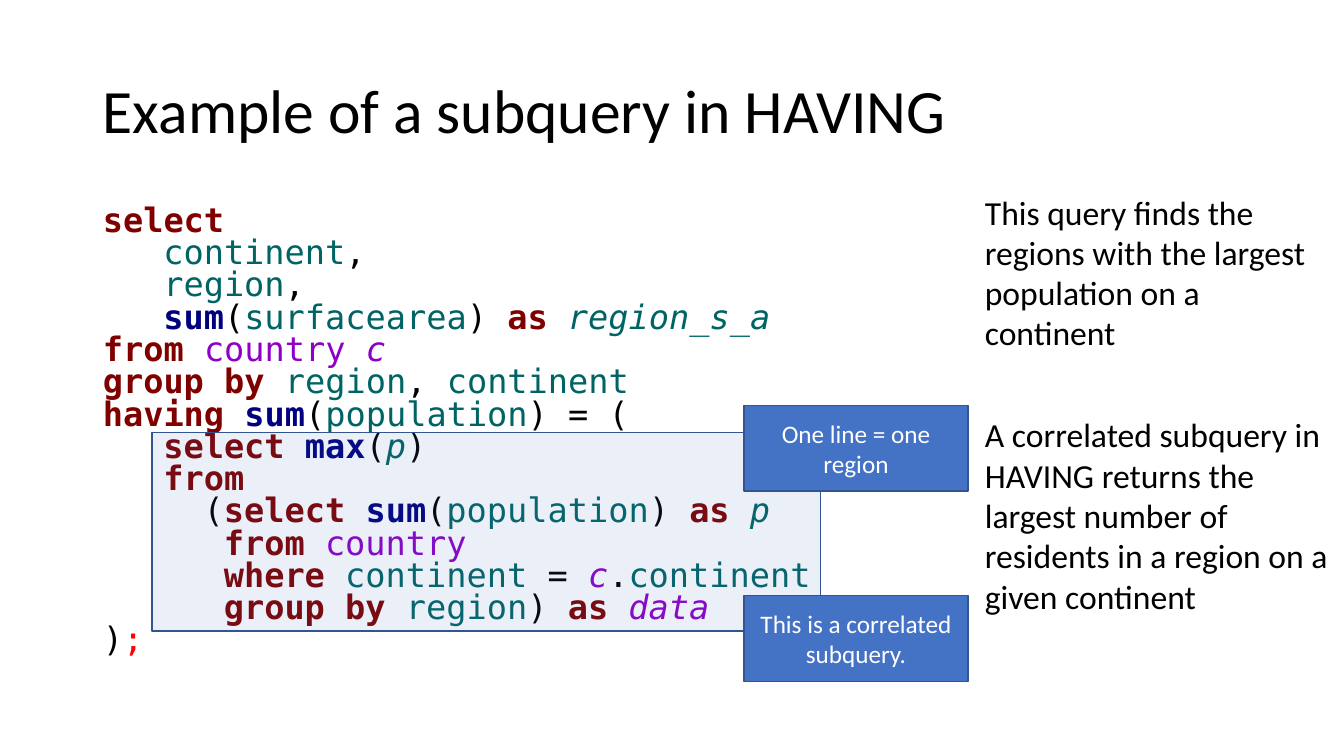
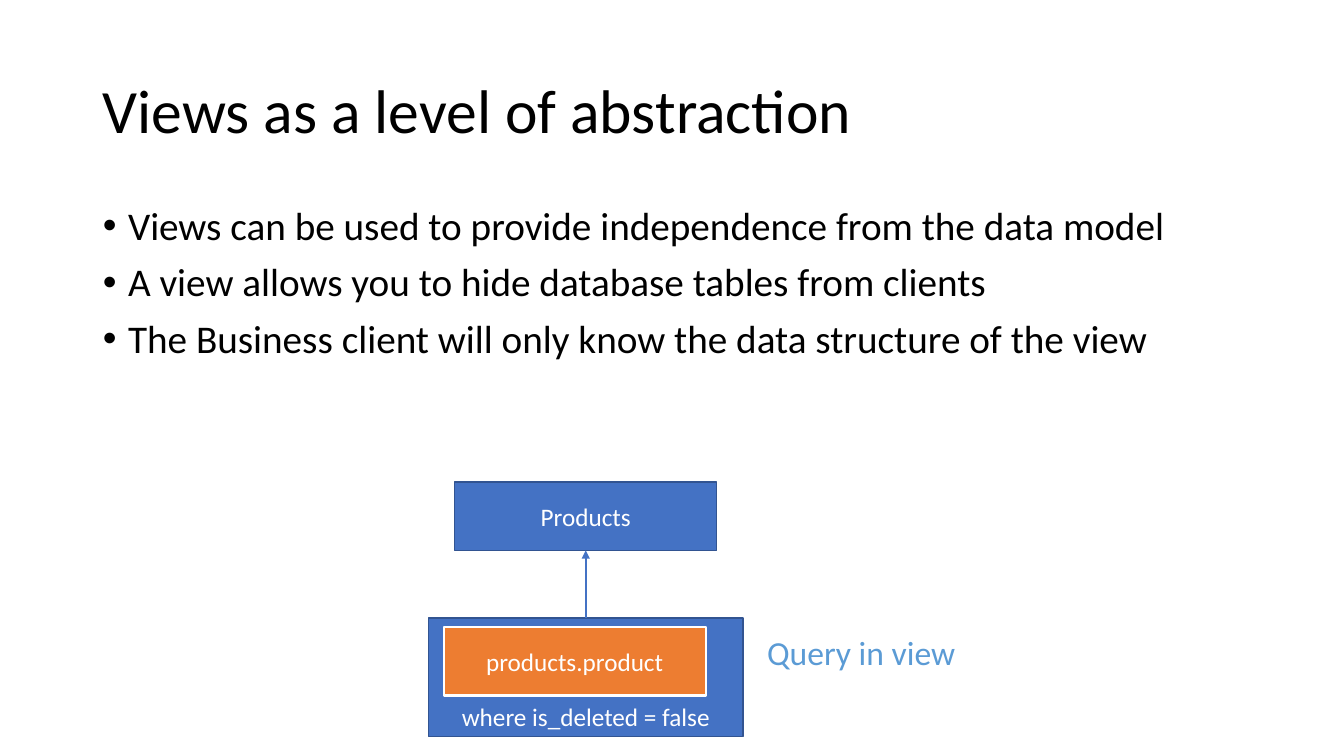
import pptx
import pptx.util
import pptx.dml.color
import pptx.enum.shapes
import pptx.enum.text
import pptx.oxml
import pptx.oxml.ns

Inches, Pt = pptx.util.Inches, pptx.util.Pt
ALIGN = pptx.enum.text.PP_ALIGN
ANCHOR = pptx.enum.text.MSO_ANCHOR
FIT = pptx.enum.text.MSO_AUTO_SIZE

# Shared look
FONT, CODE_FONT = "Calibri", "DejaVu Sans Mono"
BLACK, WHITE = "000000", "FFFFFF"
BLUE, DARK_BLUE, ORANGE, LIGHT_BLUE = "4472C4", "325491", "ED7D31", "5B9BD5"
TITLE_BOX = (0.92, 0.4, 11.5, 1.45)
CODE_CHAR = 0.2  # width of one code character

# Code roles: colour, bold, italic
ROLES = {
    "keyword": ("800000", True, False),
    "function": ("000080", True, False),
    "column": ("006464", False, False),
    "column alias": ("006464", False, True),
    "table": ("8E00C6", False, False),
    "table alias": ("8E00C6", False, True),
    "plain": (BLACK, False, False),
    "end": ("FF0000", False, False),
}

# Each line: indent in characters, then (text, role) pairs
QUERY = [
    (0, ("select", "keyword")),
    (3, ("continent", "column"), (",", "plain")),
    (3, ("region", "column"), (",", "plain")),
    (3, ("sum", "function"), ("(", "plain"), ("surfacearea", "column"),
     (") ", "plain"), ("as ", "keyword"), ("region_s_a", "column alias")),
    (0, ("from ", "keyword"), ("country ", "table"), ("c", "table alias")),
    (0, ("group by ", "keyword"), ("region", "column"), (", ", "plain"),
     ("continent", "column")),
    (0, ("having ", "keyword"), ("sum", "function"), ("(", "plain"),
     ("population", "column"), (") = (", "plain")),
    (3, ("select ", "keyword"), ("max", "function"), ("(", "plain"),
     ("p", "column alias"), (")", "plain")),
    (3, ("from", "keyword")),
    (5, ("(", "plain"), ("select ", "keyword"), ("sum", "function"),
     ("(", "plain"), ("population", "column"), (") ", "plain"),
     ("as ", "keyword"), ("p", "column alias")),
    (6, ("from ", "keyword"), ("country", "table")),
    (6, ("where ", "keyword"), ("continent", "column"), (" = ", "plain"),
     ("c", "table alias"), (".", "plain"), ("continent", "column")),
    (6, ("group by ", "keyword"), ("region", "column"), (") ", "plain"),
     ("as ", "keyword"), ("data", "table alias")),
    (0, (")", "plain"), (";", "end")),
]


def paint(color_format, hex_color):
    color_format.rgb = pptx.dml.color.RGBColor.from_string(hex_color)


def add_run(paragraph, text, size, color=BLACK, font=FONT, bold=False, italic=False):
    run = paragraph.add_run()
    run.text = text
    run.font.name, run.font.size = font, Pt(size)
    run.font.bold, run.font.italic = bold, italic
    paint(run.font.color, color)


def paragraphs(frame, count):
    """The first paragraph of a frame, followed by new ones."""
    return [frame.paragraphs[0]] + [frame.add_paragraph() for _ in range(count - 1)]


def add_xml(parent, tag, **attributes):
    child = pptx.oxml.parse_xml(f"<a:{tag} {pptx.oxml.ns.nsdecls('a')}/>")
    for name, value in attributes.items():
        child.set(name, value)
    parent.append(child)


def set_indent(paragraph, left, first, bullet=None):
    properties = paragraph._p.get_or_add_pPr()
    properties.set("marL", str(Inches(left)))
    properties.set("indent", str(Inches(first)))
    if bullet:
        add_xml(properties, "buChar", char=bullet)
    else:
        add_xml(properties, "buNone")


def place(shape, box):
    shape.left, shape.top, shape.width, shape.height = map(Inches, box)


def add_titled_slide(deck, title, body_box):
    """Slide with a formatted title; returns it with its body text frame."""
    slide = deck.slides.add_slide(deck.slide_layouts[1])
    heading, body = slide.shapes.title, slide.placeholders[1]
    place(heading, TITLE_BOX)
    place(body, body_box)
    frame = heading.text_frame
    frame.vertical_anchor = ANCHOR.MIDDLE
    line = frame.paragraphs[0]
    line.alignment, line.line_spacing = ALIGN.LEFT, 0.9
    add_run(line, title, 44)
    for text_frame in (frame, body.text_frame):
        text_frame.auto_size = FIT.NONE
    return slide, body.text_frame


def add_box(slide, box, text="", fill=BLUE, line=DARK_BLUE, line_width=1,
            anchor=ANCHOR.MIDDLE, opacity=None):
    shape = slide.shapes.add_shape(
        pptx.enum.shapes.MSO_SHAPE.RECTANGLE, *map(Inches, box))
    shape.shadow.inherit = False
    shape.fill.solid()
    paint(shape.fill.fore_color, fill)
    if opacity is not None:
        color = shape._element.spPr.find(".//" + pptx.oxml.ns.qn("a:srgbClr"))
        add_xml(color, "alpha", val=str(opacity * 1000))
    paint(shape.line.color, line)
    shape.line.width = Pt(line_width)
    if text:
        shape.text_frame.word_wrap = True
        shape.text_frame.vertical_anchor = anchor
        label = shape.text_frame.paragraphs[0]
        label.alignment = ALIGN.CENTER
        add_run(label, text, 18, WHITE)
    return shape


def add_text(slide, box, texts, color=BLACK, gap=0, wrap=True):
    frame = slide.shapes.add_textbox(*map(Inches, box)).text_frame
    frame.word_wrap = wrap
    frame.auto_size = FIT.SHAPE_TO_FIT_TEXT
    for number, (line, text) in enumerate(zip(paragraphs(frame, len(texts)), texts)):
        line.space_before = Pt(gap if number else 0)
        add_run(line, text, 24, color)


def add_arrow(slide, source, target):
    """Arrow from the top of one box to the bottom of another."""
    arrow = slide.shapes.add_connector(
        pptx.enum.shapes.MSO_CONNECTOR.STRAIGHT, 0, 0, 0, 0)
    arrow.begin_connect(source, 0)
    arrow.end_connect(target, 2)
    paint(arrow.line.color, BLUE)
    arrow.line.width = Pt(1.5)
    add_xml(arrow.line._get_or_add_ln(), "tailEnd", type="triangle")
    add_xml(arrow._element.spPr, "effectLst")


def write_query(frame):
    for line, (indent, *tokens) in zip(paragraphs(frame, len(QUERY)), QUERY):
        line.line_spacing, line.space_before = 0.8, Pt(0)
        set_indent(line, indent * CODE_CHAR, 0)
        for text, role in tokens:
            color, bold, italic = ROLES[role]
            add_run(line, text, 24, color, CODE_FONT, bold, italic)


def write_bullets(frame, texts):
    for line, text in zip(paragraphs(frame, len(texts)), texts):
        line.line_spacing, line.space_before = 0.9, Pt(10)
        set_indent(line, 0.25, -0.25, "•")
        add_run(line, text, 28)


def add_view_diagram(slide, left, top):
    """Clients' view above the query that it wraps."""
    view = add_box(slide, (left + 0.26, top, 2.6, 0.68), "Products")
    query = add_box(slide, (left, top + 1.35, 3.12, 1.18),
                    "where is_deleted = false", anchor=ANCHOR.BOTTOM)
    add_box(slide, (left + 0.15, top + 1.44, 2.6, 0.68), "products.product",
            fill=ORANGE, line=WHITE, line_width=1.5)
    add_arrow(slide, query, view)
    add_text(slide, (left + 3.26, top + 1.44, 2.09, 0.5), ["Query in view"],
             LIGHT_BLUE, wrap=False)


def build_having_slide(deck):
    slide, body = add_titled_slide(
        deck, "Example of a subquery in HAVING", (0.92, 2, 8.43, 4.76))
    write_query(body)
    # Subquery highlight and its callouts
    add_box(slide, (1.51, 4.29, 6.63, 1.97), opacity=10)
    for top, text in ((4.02, "One line = one region"),
                      (5.91, "This is a correlated subquery.")):
        add_box(slide, (7.38, top, 2.22, 0.85), text)
    # Explanation
    add_text(slide, (9.67, 1.85, 3.66, 4.34), [
        "This query finds the regions with the largest population on a continent",
        "A correlated subquery in HAVING returns the largest number of "
        "residents in a region on a given continent"], gap=44)


def build_views_slide(deck):
    slide, body = add_titled_slide(
        deck, "Views as a level of abstraction", (0.92, 2, 11.5, 2.54))
    write_bullets(body, [
        "Views can be used to provide independence from the data model",
        "A view allows you to hide database tables from clients",
        "The Business client will only know the data structure of the view"])
    add_view_diagram(slide, 4.25, 4.78)


def main():
    deck = pptx.Presentation()
    deck.slide_width, deck.slide_height = Inches(13.33), Inches(7.5)
    build_having_slide(deck)
    build_views_slide(deck)
    deck.save("out.pptx")


if __name__ == "__main__":
    main()
